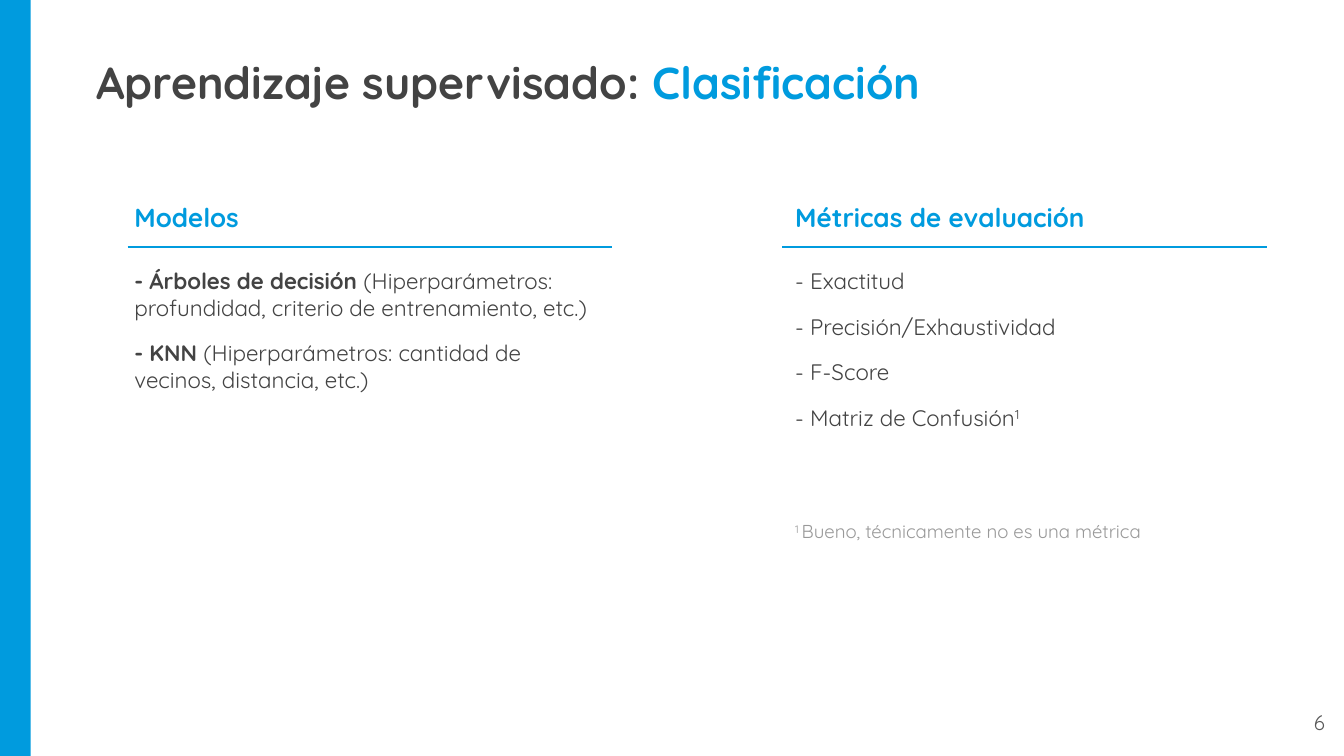
"""Build the slide on supervised learning: classification models and metrics."""
from dataclasses import dataclass

from lxml.etree import SubElement
from pptx import Presentation
from pptx.dml.color import RGBColor as Rgb
from pptx.enum.shapes import MSO_CONNECTOR as Connector, MSO_SHAPE as Shape
from pptx.enum.text import MSO_ANCHOR as Anchor, PP_ALIGN as Align
from pptx.oxml.ns import qn
from pptx.util import Cm, Pt


@dataclass(frozen=True)
class Theme:
    """Colours, font and type sizes of the slide."""
    font: str = "Quicksand"
    accent: str = "009BDE"
    ink: str = "434343"
    muted: str = "999999"
    folio: str = "595959"
    title: float = 24
    heading: float = 14
    body: float = 12
    small: float = 11
    note: float = 10


THEME = Theme()
BOLD = {"bold": True}
ACCENT = {"color": THEME.accent, "bold": True}
RAISED = {"raised": True}

TITLE = [[("Aprendizaje supervisado: ", BOLD), ("Clasificación", ACCENT)]]
COLUMNS = [
    {
        "left": 2.29,
        "rule": 2.41,
        "heading": "Modelos",
        "items": [
            [("- Árboles de decisión", BOLD),
             (" (Hiperparámetros: profundidad, criterio de entrenamiento, etc.)", {})],
            [("- KNN ", BOLD),
             ("(Hiperparámetros: cantidad de vecinos, distancia, etc.)", {})],
        ],
    },
    {
        "left": 14.78,
        "rule": 14.78,
        "heading": "Métricas de evaluación",
        "items": [
            [("- Exactitud", {})],
            [("- Precisión/Exhaustividad", {})],
            [("- F-Score", {})],
            [("- Matriz de Confusión", {}), ("1", RAISED)],
        ],
    },
]
FOOTNOTE = [[("1 ", RAISED), ("Bueno, técnicamente no es una métrica", {})]]
PAGE = [[("6", {})]]

SLIDE_WIDTH, SLIDE_HEIGHT = 25.4, 14.29
HEADING_TOP, RULE_TOP, ITEMS_TOP = 3.56, 4.67, 4.8
RULE_LENGTH = 9.16
FRAME = {
    "word_wrap": True,
    "vertical_anchor": Anchor.TOP,
    **{f"margin_{side}": Cm(0.25) for side in ("left", "top", "right", "bottom")},
}


def apply(target, values):
    """Set every attribute given in a dict of format values."""
    for attribute, value in values.items():
        setattr(target, attribute, value)


def add_text(slide, place, paragraphs, size, color=THEME.ink, gap=0, layout=None):
    """Add a wrapped text box made of paragraphs of formatted runs."""
    frame = slide.shapes.add_textbox(*map(Cm, place)).text_frame
    apply(frame, FRAME)
    for index, runs in enumerate(paragraphs):
        paragraph = frame.add_paragraph() if index else frame.paragraphs[0]
        apply(paragraph, layout or {})
        if index:
            paragraph.space_before = Pt(gap)
        for text, style in runs:
            run = paragraph.add_run()
            run.text = text
            apply(run.font, {"name": THEME.font, "size": Pt(size),
                             "bold": style.get("bold", False)})
            run.font.color.rgb = Rgb.from_string(style.get("color", color))
            if style.get("raised"):
                run.font._element.set("baseline", "30000")


def add_bar(slide):
    """Add the accent bar along the left edge."""
    bar = slide.shapes.add_shape(Shape.RECTANGLE, 0, 0, Cm(0.58), Cm(SLIDE_HEIGHT))
    bar.shadow.inherit = False
    bar.fill.solid()
    bar.fill.fore_color.rgb = Rgb.from_string(THEME.accent)
    bar.line.fill.background()


def add_rule(slide, left):
    """Add the line under a column heading."""
    rule = slide.shapes.add_connector(
        Connector.STRAIGHT, Cm(left), Cm(RULE_TOP), Cm(left + RULE_LENGTH), Cm(RULE_TOP))
    rule.line.width = Pt(1.5)
    rule.line.color.rgb = Rgb.from_string(THEME.accent)
    SubElement(rule._element.spPr, qn("a:effectLst"))


def add_column(slide, column):
    """Add a heading, its rule and the items below."""
    left = column["left"]
    heading = [[(column["heading"], ACCENT)]]
    add_text(slide, (left, HEADING_TOP, 6.17, 1.09), heading, THEME.heading)
    add_rule(slide, column["rule"])
    add_text(slide, (left, ITEMS_TOP, 9.22, 2.64), column["items"], THEME.body, gap=10)


def main():
    """Build and save the presentation."""
    deck = Presentation()
    apply(deck, {"slide_width": Cm(SLIDE_WIDTH), "slide_height": Cm(SLIDE_HEIGHT)})
    slide = deck.slides.add_slide(deck.slide_layouts[6])
    add_bar(slide)
    add_text(slide, (1.57, 0.79, 21.89, 1.49), TITLE, THEME.title,
             layout={"space_after": Pt(10)})
    for column in COLUMNS:
        add_column(slide, column)
    add_text(slide, (COLUMNS[-1]["left"], 9.37, 9.32, 0.66), FOOTNOTE, THEME.note,
             THEME.muted, layout={"line_spacing": 1.5})
    add_text(slide, (23.77, 13.18, 1.52, 1.09), PAGE, THEME.small, THEME.folio,
             layout={"alignment": Align.RIGHT})
    deck.save("out.pptx")


if __name__ == "__main__":
    main()
